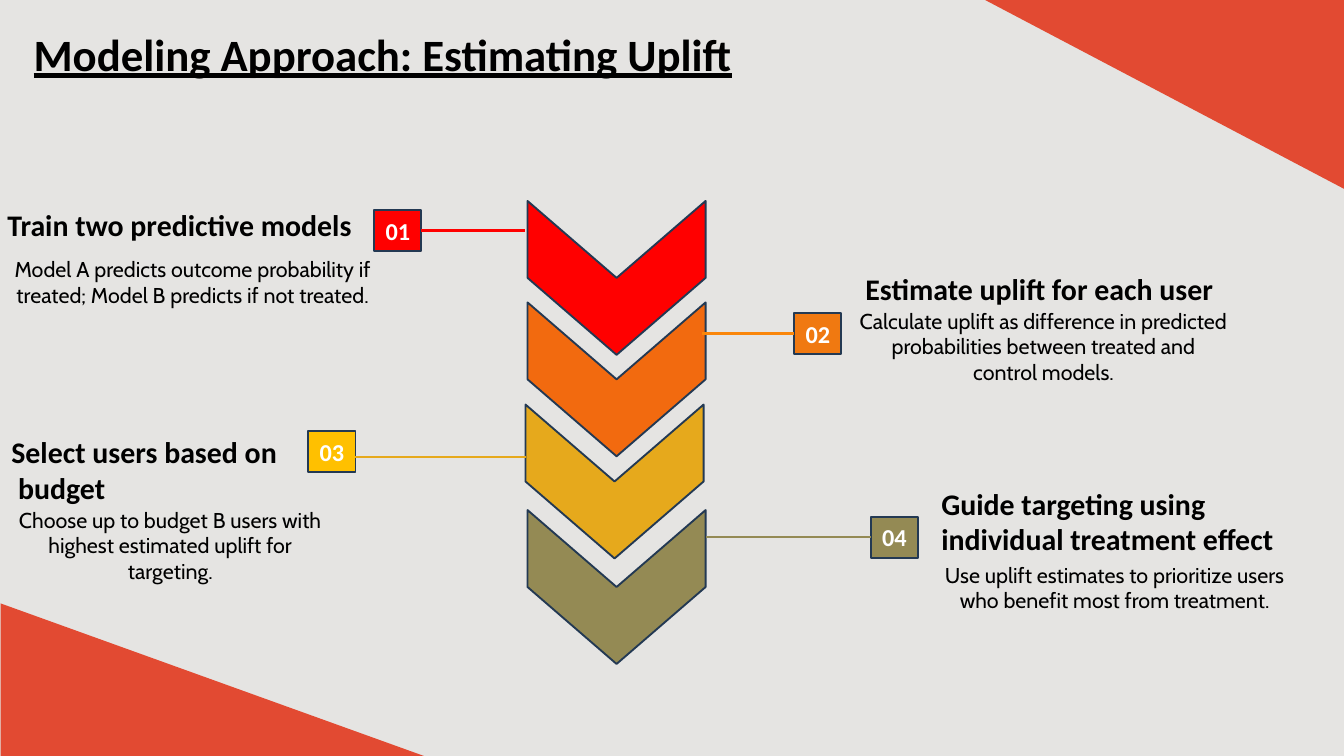
from dataclasses import dataclass
from typing import Any

from lxml import etree
from pptx import Presentation
from pptx.dml.color import RGBColor
from pptx.enum import shapes, text
from pptx.oxml import ns
from pptx.util import Inches, Pt

COLORS = {
    "background": "E5E4E2", "corner": "E24A32", "outline": "233953",
    "ink": "000000", "white": "FFFFFF", "red": "FF0000",
    "orange": "F26A0F", "badge_orange": "F07911", "line_orange": "FA860A",
    "gold": "E6A91C", "amber": "FFC000", "olive": "948A54",
}
BADGE_WIDTH, BADGE_HEIGHT = 0.7, 0.61


def color(name):
    return RGBColor.from_string(COLORS[name])


def inches(*values):
    return [Inches(value) for value in values]


def write(box, lines, size, font="Calibri", ink="ink", bold=False,
          underline=False, align=text.PP_ALIGN.LEFT,
          anchor=text.MSO_ANCHOR.TOP, last_indent=0):
    """Fill a shape with one paragraph per line."""
    frame = box.text_frame
    frame.word_wrap = True
    frame.auto_size = text.MSO_AUTO_SIZE.NONE
    frame.vertical_anchor = anchor
    for index, line in enumerate(lines):
        para = frame.add_paragraph() if index else frame.paragraphs[0]
        para.alignment = align
        if index and last_indent:
            para._p.get_or_add_pPr().set("marL", str(Inches(last_indent)))
        span = para.add_run()
        span.text = line
        span.font.name, span.font.size = font, Pt(size)
        span.font.bold, span.font.underline = bold, underline
        span.font.color.rgb = color(ink)


@dataclass
class SlideBuilder:
    page: Any
    heading_size: int = 32
    detail_size: int = 23
    badge_size: int = 26
    outline_width: int = 2

    def title(self, wording, place):
        box = self.page.shapes.title
        box.left, box.top, box.width, box.height = inches(*place)
        write(box, [wording], 48, bold=True, underline=True)

    def shape(self, kind, place, fill, rotation=0, outlined=True):
        box = self.page.shapes.add_shape(kind, *inches(*place))
        box.shadow.inherit = False
        box.rotation = rotation
        box.fill.solid()
        box.fill.fore_color.rgb = color(fill)
        if outlined:
            box.line.color.rgb = color("outline")
            box.line.width = Pt(self.outline_width)
        else:
            box.line.fill.background()
        return box

    def badge(self, number, left, top, fill):
        box = self.shape(shapes.MSO_SHAPE.RECTANGLE,
                         (left, top, BADGE_WIDTH, BADGE_HEIGHT), fill)
        frame = box.text_frame
        frame.margin_left = frame.margin_right = 0
        write(box, [number], self.badge_size, ink="white", bold=True,
              align=text.PP_ALIGN.CENTER, anchor=text.MSO_ANCHOR.MIDDLE)
        return box

    def line(self, start, end, stroke, width, badge=None, site=None):
        link = self.page.shapes.add_connector(
            shapes.MSO_CONNECTOR.STRAIGHT, *inches(*start, *end))
        link.line.color.rgb = color(stroke)
        link.line.width = Pt(width)
        etree.SubElement(link._element.spPr, ns.qn("a:effectLst"))
        if badge is not None:
            link.begin_connect(badge, site)

    def heading(self, lines, place):
        box = self.page.shapes.add_textbox(*inches(*place))
        write(box, lines, self.heading_size, bold=True, last_indent=0.1)

    def detail(self, wording, place):
        box = self.page.shapes.add_textbox(*inches(*place))
        write(box, [wording], self.detail_size, font="Cabin",
              align=text.PP_ALIGN.CENTER)


# Chevron: left, top, fill. Badge: left, top, fill.
# Line: chevron end, height (None: badge middle), colour, width.
STEPS = [
    dict(chevron=(8.03, 2.81, "red"), badge=(5.57, 3.13, "red"),
         line=(7.82, None, "red", 3),
         heading=["Train two predictive models"],
         heading_at=(0.01, 3.02, 5.52, 0.64),
         detail="Model A predicts outcome probability if treated; "
                "Model B predicts if not treated.",
         detail_at=(0.01, 3.76, 5.72, 0.88)),
    dict(chevron=(8.03, 4.32, "orange"), badge=(11.82, 4.66, "badge_orange"),
         line=(10.44, None, "line_orange", 3),
         heading=["Estimate uplift for each user"],
         heading_at=(12.78, 3.98, 5.52, 0.64),
         detail="Calculate uplift as difference in predicted probabilities "
                "between treated and control models.",
         detail_at=(12.67, 4.53, 5.72, 1.26)),
    dict(chevron=(8, 5.84, "gold"), badge=(4.59, 6.42, "amber"),
         line=(7.83, 6.8, "gold", 2),
         heading=["Select users based on", "budget"],
         heading_at=(0.07, 6.41, 5.65, 1.18),
         detail="Choose up to budget B users with highest estimated uplift "
                "for targeting.",
         detail_at=(0.05, 7.49, 4.97, 1.26)),
    dict(chevron=(8.03, 7.41, "olive"), badge=(12.96, 7.69, "olive"),
         line=(10.5, None, "olive", 2),
         heading=["Guide targeting using individual treatment effect"],
         heading_at=(13.91, 7.17, 5.52, 1.18),
         detail="Use uplift estimates to prioritize users who benefit most "
                "from treatment.",
         detail_at=(13.73, 8.31, 5.72, 0.88)),
]


def main():
    deck = Presentation()
    deck.slide_width, deck.slide_height = inches(20, 11.25)
    page = deck.slides.add_slide(deck.slide_layouts[5])
    page.background.fill.solid()
    page.background.fill.fore_color.rgb = color("background")
    builder = SlideBuilder(page)

    # Corner triangles
    triangle = shapes.MSO_SHAPE.RIGHT_TRIANGLE
    builder.shape(triangle, (14.64, -0.01, 5.36, 2.82), "corner", 180, False)
    builder.shape(triangle, (0.01, 8.98, 6.3, 2.27), "corner", 0, False)

    # Chevron column
    for step in STEPS:
        left, top, fill = step["chevron"]
        builder.shape(shapes.MSO_SHAPE.CHEVRON, (left, top, 2.29, 2.65),
                      fill, 90)

    # Numbered badges, their lines and their texts
    for number, step in enumerate(STEPS, 1):
        left, top, fill = step["badge"]
        badge = builder.badge(f"{number:02}", left, top, fill)
        end, height, stroke, width = step["line"]
        on_left = left < end
        start = left + BADGE_WIDTH if on_left else left
        if height is None:
            height = top + BADGE_HEIGHT / 2
            builder.line((start, height), (end, height), stroke, width,
                         badge, 3 if on_left else 1)
        else:
            builder.line((start, height), (end, height), stroke, width)
        builder.heading(step["heading"], step["heading_at"])
        builder.detail(step["detail"], step["detail_at"])

    # Title
    builder.title("Modeling Approach: Estimating Uplift",
                  (0.4, 0.34, 10.96, 0.91))
    deck.save("out.pptx")


if __name__ == "__main__":
    main()
